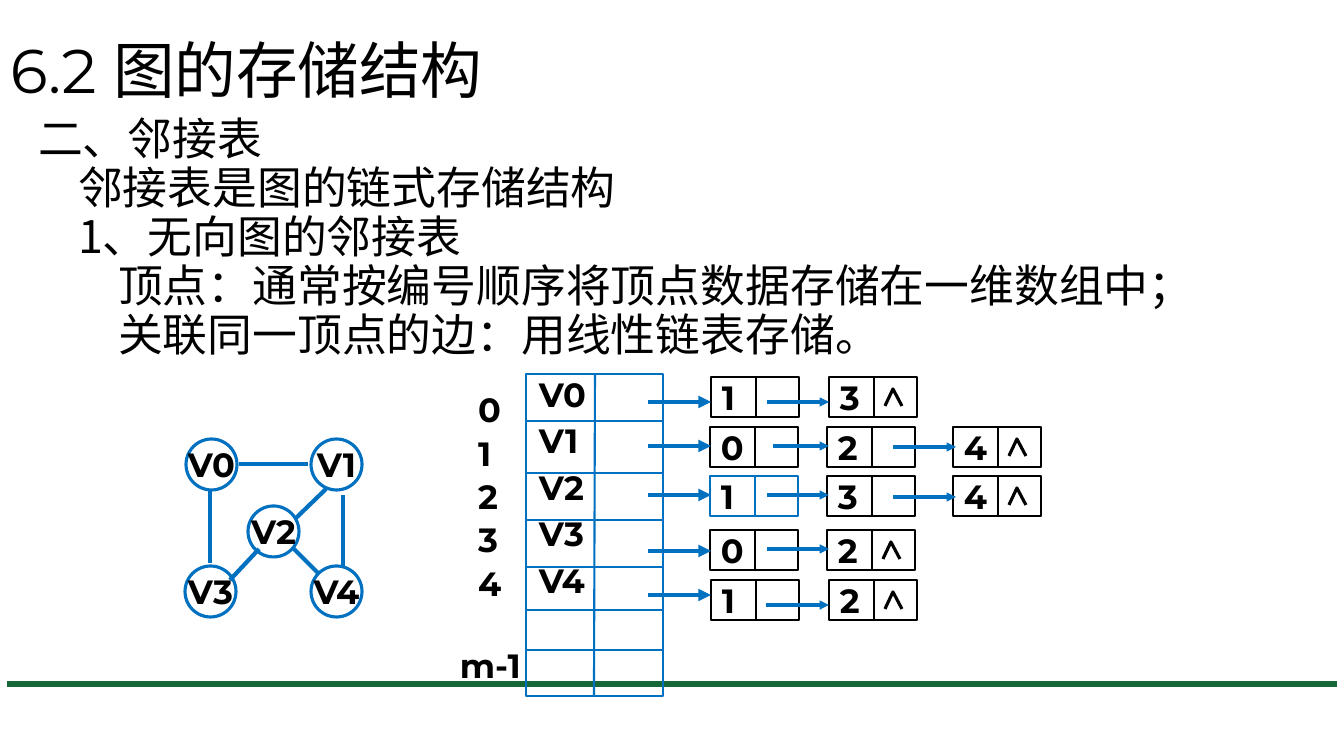
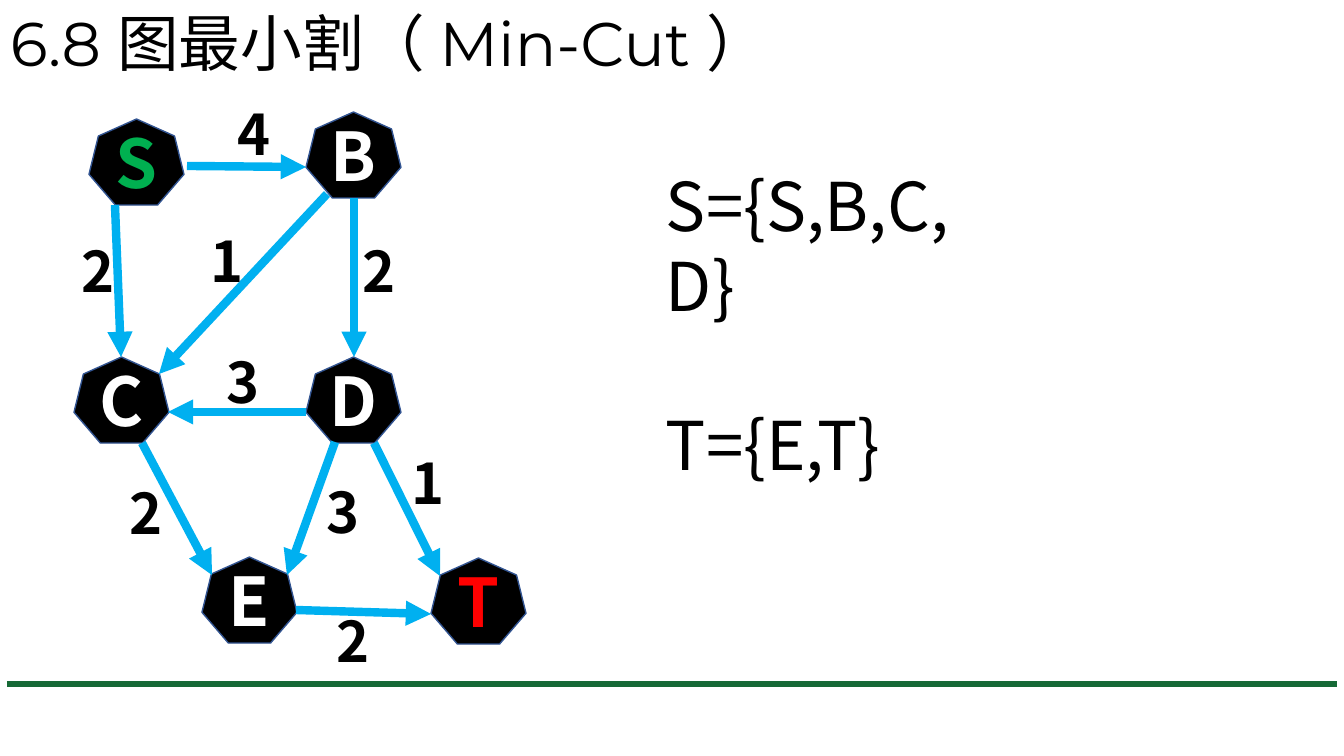
from lxml import etree
from pptx import Presentation
from pptx.dml.color import RGBColor
from pptx.enum.shapes import MSO_CONNECTOR, MSO_SHAPE
from pptx.enum.text import MSO_ANCHOR, PP_ALIGN
from pptx.oxml.ns import qn
from pptx.util import Emu, Pt

RECT, OVAL, HEPTAGON = MSO_SHAPE.RECTANGLE, MSO_SHAPE.OVAL, MSO_SHAPE.HEPTAGON
STRAIGHT = MSO_CONNECTOR.STRAIGHT
TOP, MIDDLE = MSO_ANCHOR.TOP, MSO_ANCHOR.MIDDLE
LEFT, CENTER = PP_ALIGN.LEFT, PP_ALIGN.CENTER
SCALE = 914400 / 100.8


def px(n):
    return Emu(round(n * SCALE))


def rgb(value):
    return RGBColor.from_string(value)


def put_text(tf, lines, size=24, font="Montserrat", color="000000", bold=False,
             align=LEFT, anchor=TOP, wrap=True, inset=(10, 5), leading=None,
             before=(), indents=()):
    tf.word_wrap, tf.vertical_anchor = wrap, anchor
    tf.margin_left = tf.margin_right = px(inset[0])
    tf.margin_top = tf.margin_bottom = px(inset[1])
    for i, line in enumerate(lines):
        p = tf.paragraphs[0] if i == 0 else tf.add_paragraph()
        p.alignment = align
        if leading:
            p.line_spacing = leading
        if before and i:
            p.space_before = Pt(before[i])
        if indents:
            p._p.get_or_add_pPr().set("marL", str(px(indents[i])))
        r = p.add_run()
        r.text = line
        r.font.size, r.font.bold, r.font.name = Pt(size), bold, font
        r.font.color.rgb = rgb(color)
        ea = etree.SubElement(r._r.get_or_add_rPr(), qn("a:ea"))
        ea.set("typeface", "Noto Sans CJK SC")


class Deck:
    BLUE, SKY, BLACK, GREEN = "0070C0", "00B0F0", "000000", "166936"
    CJK = "Noto Sans CJK SC"

    def __init__(self):
        self.prs = Presentation()
        self.prs.slide_width, self.prs.slide_height = px(1344), px(756)
        self.s = None

    def slide(self, title, top, height):
        self.s = self.prs.slides.add_slide(self.prs.slide_layouts[6])
        self.line(7, 684, 1337, 684, self.GREEN, 3.75)
        self.text([title], 0, top, 1159, height, size=44, anchor=MIDDLE, leading=0.9)

    def text(self, lines, x, y, w, h, **fmt):
        box = self.s.shapes.add_textbox(px(x), px(y), px(w), px(h))
        put_text(box.text_frame, lines, **fmt)

    def line(self, x1, y1, x2, y2, color, width, arrow=False):
        c = self.s.shapes.add_connector(STRAIGHT, px(x1), px(y1), px(x2), px(y2))
        c.line.color.rgb, c.line.width = rgb(color), Pt(width)
        if arrow:
            tail = etree.SubElement(c.line._get_or_add_ln(), qn("a:tailEnd"))
            tail.set("type", "triangle")
        etree.SubElement(c._element.spPr, qn("a:effectLst"))

    def style(self, sp, line, width, fill=None):
        sp.shadow.inherit = False
        if fill:
            sp.fill.solid()
            sp.fill.fore_color.rgb = rgb(fill)
        else:
            sp.fill.background()
        sp.line.color.rgb, sp.line.width = rgb(line), Pt(width)

    def shape(self, kind, x, y, w, h, line, width, fill=None, lines=(), **fmt):
        sp = self.s.shapes.add_shape(kind, px(x), px(y), px(w), px(h))
        self.style(sp, line, width, fill)
        put_text(sp.text_frame, lines, anchor=MIDDLE, **fmt)

    def caret(self, x, y):
        fb = self.s.shapes.build_freeform(px(x), px(y + 17))
        fb.add_line_segments([(px(x + 8), px(y)), (px(x + 17), px(y + 17))], close=False)
        self.style(fb.convert_to_shape(), self.BLACK, 2.25)

    def list_node(self, x, y, value, color):
        self.shape(RECT, x, y, 88, 40, color, 1.5, lines=[value], bold=True, inset=(11, 0))
        self.line(x + 45, y, x + 45, y + 40, color, 1.5)

    def vertex(self, x, y, name):
        self.shape(OVAL, x, y, 51, 51, self.BLUE, 2.25, lines=[name], bold=True,
                   align=CENTER, wrap=False, inset=(0, 0))

    def heptagon(self, x, y, name, color="FFFFFF"):
        self.shape(HEPTAGON, x, y, 95, 86, "325491", 1, self.BLACK, [name], size=48,
                   font=self.CJK, color=color, bold=True, align=CENTER, inset=(0, 0))

    def weight(self, x, y, value):
        self.text([value], x, y, 51, 78, size=40, font=self.CJK, bold=True, leading=Pt(48))


def adjacency_slide(d):
    d.slide("6.2 图的存储结构", 1, 146)
    d.text(["二、邻接表", "邻接表是图的链式存储结构", "1、无向图的邻接表",
            "顶点：通常按编号顺序将顶点数据存储在一维数组中；",
            "关联同一顶点的边：用线性链表存储。"],
           28, 110, 1159, 480, size=32, font=d.CJK, leading=Pt(35),
           indents=(0, 40, 40, 80, 80))

    d.shape(RECT, 526, 374, 137, 322, d.BLUE, 1.5)
    for y in (421, 473, 520, 567, 610, 650):
        d.line(526, y, 662, y, d.BLUE, 1.5)
    d.line(595, 374, 594, 696, d.BLUE, 1.5)
    d.text(["0", "1", "2", "3", "4", "m-1"], 450, 384, 94, 316, bold=True,
           before=(0, 2.2, 2.2, 2.2, 2.2, 30), indents=(18, 18, 18, 18, 18, 0))
    d.text([f"V{i}" for i in range(5)], 529, 369, 86, 246, bold=True,
           before=(0, 4.3, 4.3, 4.3, 4.3))

    chains = [
        (377, 402, [(711, "1"), (829, "3")], [(767, 402)]),
        (427, 446, [(710, "0"), (827, "2"), (953, "4")], [(773, 446), (893, 447)]),
        (476, 495, [(710, "1"), (827, "3"), (953, "4")], [(767, 495), (893, 497)]),
        (530, 551, [(710, "0"), (827, "2")], [(767, 549)]),
        (580, 595, [(711, "1"), (829, "2")], [(766, 605)]),
    ]
    for i, (top, head_y, nodes, links) in enumerate(chains):
        for j, (x, value) in enumerate(nodes):
            d.list_node(x, top, value, d.BLUE if (i, j) == (2, 0) else d.BLACK)
        d.caret(nodes[-1][0] + 56, top + 12)
        d.line(648, head_y, 711, head_y, d.BLUE, 3, arrow=True)
        for (x, y), end in zip(links, (829, 956)):
            d.line(x, y, end, y, d.BLUE, 2.25, arrow=True)

    for edge in [(210, 490, 210, 563), (239, 464, 308, 464), (343, 495, 343, 568),
                 (259, 549, 230, 580), (326, 489, 295, 519), (293, 548, 319, 574)]:
        d.line(*edge, d.BLUE, 3)
    for x, y, name in [(186, 439, "V0"), (311, 439, "V1"), (248, 506, "V2"),
                       (185, 566, "V3"), (311, 566, "V4")]:
        d.vertex(x, y, name)


def min_cut_slide(d):
    d.slide("6.8 图最小割（ Min-Cut ）", 0, 94)
    for node in [(89, 119, "S", "00B050"), (306, 112, "B"), (74, 357, "C"),
                 (306, 357, "D"), (202, 557, "E"), (431, 558, "T", "FF0000")]:
        d.heptagon(*node)
    for edge in [(187, 166, 306, 167), (354, 198, 354, 357), (306, 412, 168, 412),
                 (115, 205, 121, 357), (327, 194, 159, 374), (335, 442, 287, 575),
                 (142, 443, 212, 575), (374, 443, 440, 576), (296, 610, 431, 614)]:
        d.line(*edge, d.SKY, 6, arrow=True)
    for x, y, value in [(228, 94, "4"), (353, 232, "2"), (216, 342, "3"),
                        (72, 232, "2"), (200, 222, "1"), (316, 472, "3"),
                        (119, 473, "2"), (401, 443, "1"), (326, 602, "2")]:
        d.weight(x, y, value)
    d.text(["S={S,B,C,D}", "T={E,T}"], 656, 160, 346, 254, size=48, font=d.CJK,
           leading=Pt(57), before=(0, 57))


def main():
    d = Deck()
    adjacency_slide(d)
    min_cut_slide(d)
    d.prs.save("out.pptx")


if __name__ == "__main__":
    main()
